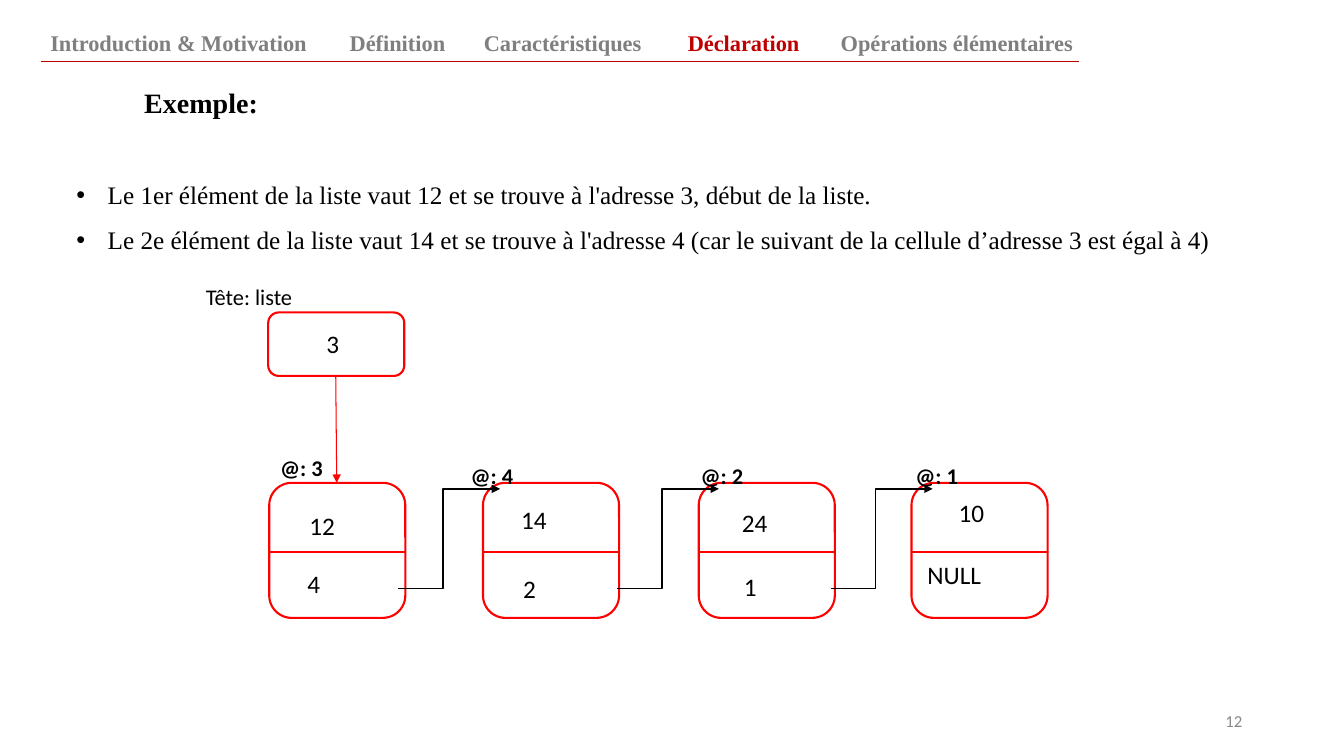
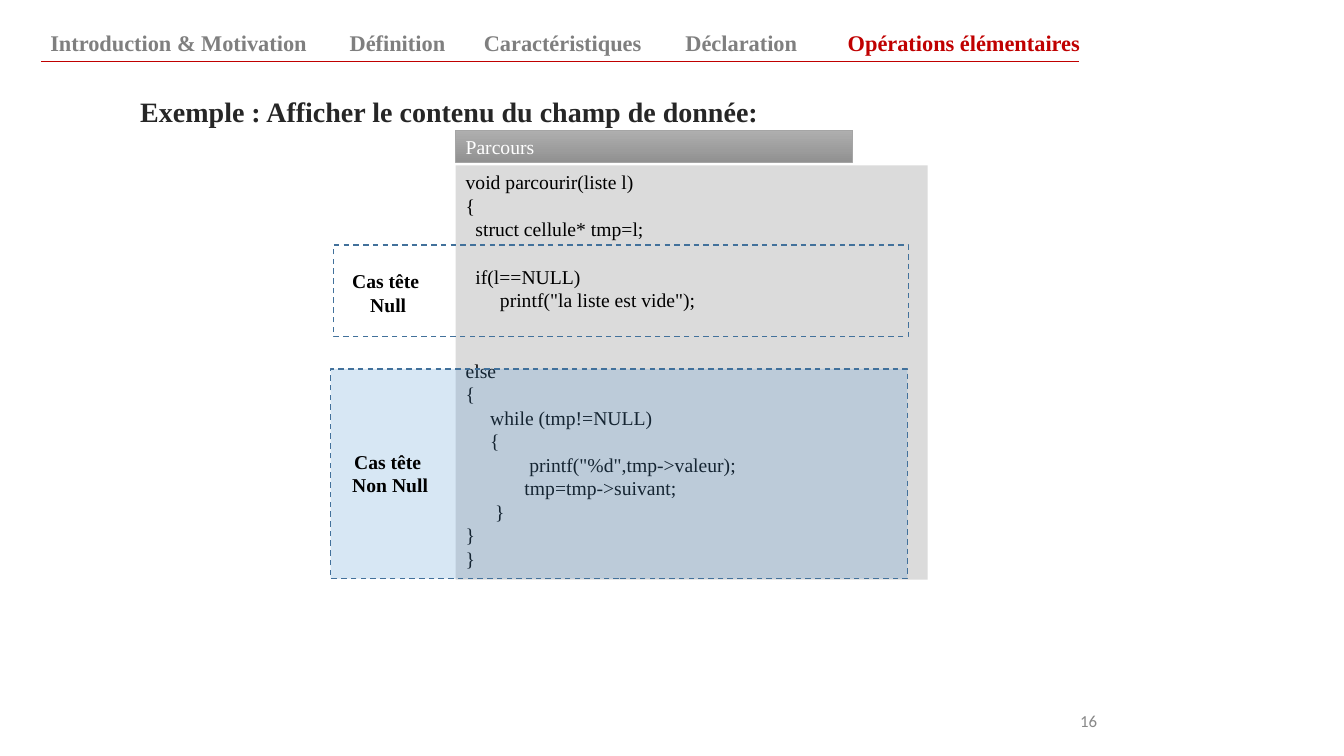
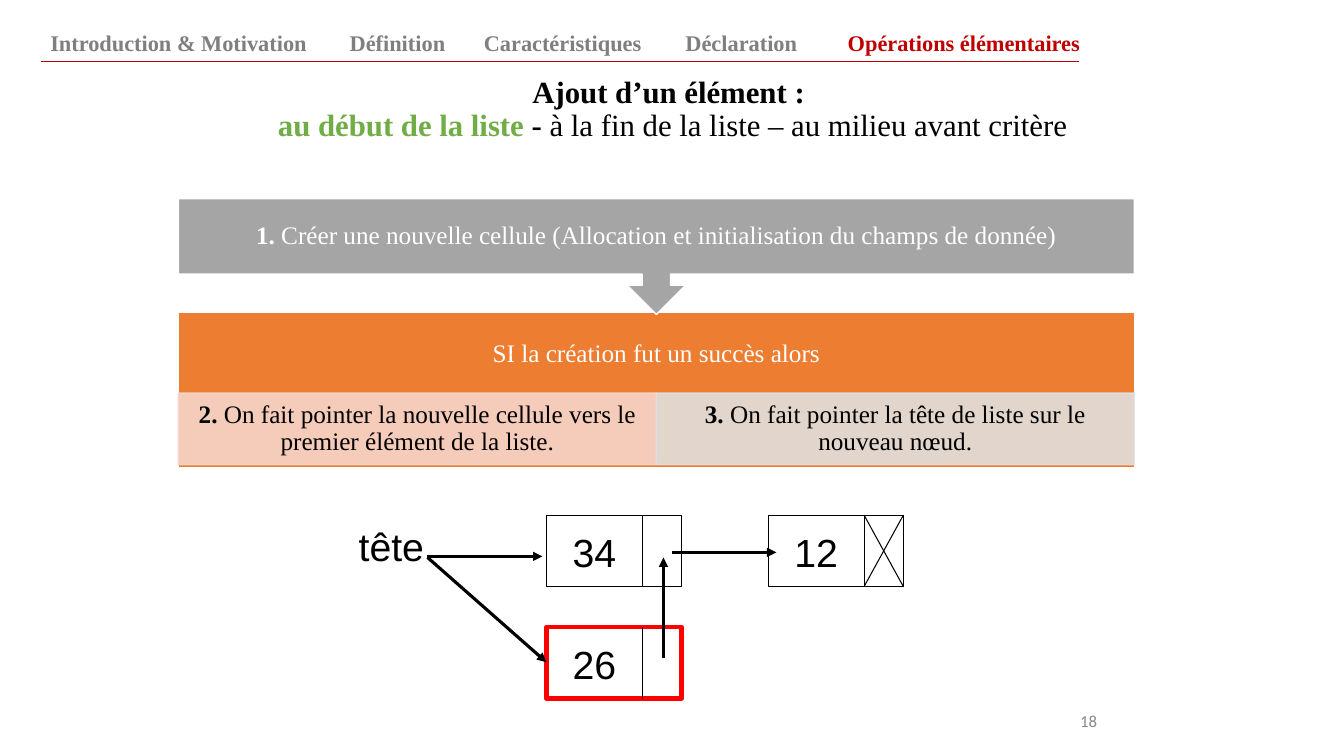
from dataclasses import dataclass, replace

from pptx import Presentation, util as u
from pptx.dml.color import RGBColor
from pptx.enum import dml, shapes, text
from pptx.oxml import ns, xmlchemy

LEFT, CENTER, RIGHT = text.PP_ALIGN.LEFT, text.PP_ALIGN.CENTER, text.PP_ALIGN.RIGHT
TOP, MIDDLE, BOTTOM = (text.MSO_ANCHOR.TOP, text.MSO_ANCHOR.MIDDLE,
                       text.MSO_ANCHOR.BOTTOM)
RECT = shapes.MSO_SHAPE.RECTANGLE
ROUNDED = shapes.MSO_SHAPE.ROUNDED_RECTANGLE


@dataclass(frozen=True)
class Style:
    font: str
    size: float
    color: str = "000000"
    bold: bool = False


class Theme:
    black, white, red, accent = "000000", "FFFFFF", "FF0000", "C00000"
    green, orange, gray = "70AD47", "ED7D31", "A5A5A5"
    code_fill, case_fill, case_line = "DBDBDB", "5B9BD5", "42719B"
    peach, pale = "F7D5CB", "E0E0E0"
    serif = "Times New Roman"
    nav = Style(serif, 16, "7F7F7F", True)
    title = Style(serif, 20, bold=True)
    body = Style(serif, 18)
    code = Style(serif, 14)
    address = Style("Calibri", 16, bold=True)
    value = Style("Calibri", 18)
    cell = Style("Arial", 28)
    number = Style("Calibri", 12, "888888")


NAV = [("Introduction & Motivation", 0.4, 2.98), ("Définition", 3.37, 1.24),
       ("Caractéristiques", 4.7, 1.91), ("Déclaration", 6.7, 1.35),
       ("Opérations élémentaires", 8.24, 2.64)]


def inches(*lengths):
    return [u.Inches(length) for length in lengths]


def child(parent, tag, **attributes):
    element = xmlchemy.OxmlElement(tag)
    for key, setting in attributes.items():
        element.set(key, str(setting))
    parent.append(element)
    return element


def add_run(paragraph, words, style):
    run = paragraph.add_run()
    run.text = words
    font = run.font
    font.name, font.size, font.bold = style.font, u.Pt(style.size), style.bold
    font.color.rgb = RGBColor.from_string(style.color)


def write(frame, paragraphs, align=LEFT, anchor=TOP, spacing=None, wrap=True,
          margins=(0.1, 0.05, 0.1, 0.05)):
    """Fill a frame; each paragraph is a list of (words, style) runs."""
    frame.word_wrap, frame.vertical_anchor = wrap, anchor
    frame.auto_size = text.MSO_AUTO_SIZE.NONE
    (frame.margin_left, frame.margin_top,
     frame.margin_right, frame.margin_bottom) = inches(*margins)
    for index, runs in enumerate(paragraphs):
        paragraph = frame.add_paragraph() if index else frame.paragraphs[0]
        paragraph.alignment = align
        if spacing:
            paragraph.line_spacing = spacing
        for words, style in runs:
            add_run(paragraph, words, style)


def add_text(slide, box, lines, style, **layout):
    frame = slide.shapes.add_textbox(*inches(*box)).text_frame
    write(frame, [[(line, style)] for line in lines], **layout)
    return frame


def add_label(slide, box, words, style, align=LEFT):
    add_text(slide, box, [words], style, align=align, wrap=False)


def set_alpha(fill, percent):
    color = fill._xPr.find(ns.qn("a:solidFill"))[0]
    child(color, "a:alpha", val=percent * 1000)


def paint(shape, fill=None, line=None, width=1.0, alpha=None):
    shape.shadow.inherit = False
    if fill:
        shape.fill.solid()
        shape.fill.fore_color.rgb = RGBColor.from_string(fill)
        if alpha:
            set_alpha(shape.fill, alpha)
    else:
        shape.fill.background()
    if line:
        shape.line.color.rgb = RGBColor.from_string(line)
        shape.line.width = u.Pt(width)
    else:
        shape.line.fill.background()


def add_box(slide, kind, box, **look):
    shape = slide.shapes.add_shape(kind, *inches(*box))
    paint(shape, **look)
    return shape


def add_line(slide, start, end, color=Theme.black, width=0.75, arrow=False,
             bend=None):
    """Draw a straight line, or an elbow turning at the share given by bend."""
    kind = shapes.MSO_CONNECTOR.ELBOW if bend else shapes.MSO_CONNECTOR.STRAIGHT
    line = slide.shapes.add_connector(kind, *inches(*start, *end))
    line.line.color.rgb = RGBColor.from_string(color)
    line.line.width = u.Pt(width)
    properties = line._element.spPr
    if arrow:
        child(properties.find(ns.qn("a:ln")), "a:tailEnd", type="triangle")
    if bend:
        guides = properties.find(ns.qn("a:prstGeom")).get_or_add_avLst()
        child(guides, "a:gd", name="adj1", fmla=f"val {round(bend * 100000)}")
    child(properties, "a:effectLst")


def add_slide(deck, section, number, number_right, title_box):
    """Add a slide with its section bar and number; return it and its title."""
    slide = deck.slides.add_slide(deck.slide_layouts[5])
    title = slide.shapes.title
    title.left, title.top, title.width, title.height = inches(*title_box)
    for name, left, width in NAV:
        active = name == section
        style = replace(Theme.nav, color=Theme.accent) if active else Theme.nav
        add_text(slide, (left, 0.19, width, 0.41), [name], style,
                 align=CENTER if active else LEFT, anchor=BOTTOM)
    add_line(slide, (0.41, 0.61), (10.7, 0.61), Theme.accent)
    add_text(slide, (number_right - 2.25, 6.95, 2.25, 0.4), [str(number)],
             Theme.number, align=RIGHT, anchor=MIDDLE)
    return slide, title.text_frame


def add_bullets(slide, box, lines):
    frame = add_text(slide, box, lines, Theme.body, spacing=1.5)
    for paragraph in frame.paragraphs:
        properties = paragraph._p.get_or_add_pPr()
        properties.set("marL", str(u.Inches(0.31)))
        properties.set("indent", str(-u.Inches(0.31)))
        child(properties, "a:buFont", typeface="Arial")
        child(properties, "a:buChar", char="•")


def add_node(slide, left, address, value, following):
    """Draw a list node; each text is (words, left, top)."""
    size, top, middle = 1.35, 4.79, 5.48
    add_box(slide, ROUNDED, (left, top, size, 1.34), line=Theme.red, width=1.5)
    add_line(slide, (left, middle), (left + size, middle), Theme.red, 1.5)
    words, x, y = address
    add_label(slide, (x, y, 1.3, 0.37), words, Theme.address, CENTER)
    for words, x, y in (value, following):
        width = {1: 0.33, 2: 0.46}.get(len(words), 0.74)
        add_label(slide, (x, y, width, 0.4), words, Theme.value)


def declaration_slide(deck):
    slide, title = add_slide(deck, "Déclaration", 12, 12.42,
                             (1.33, 0.52, 8.62, 1.04))
    write(title, [[("Exemple:", Theme.title)]], anchor=MIDDLE, spacing=0.9)
    add_bullets(slide, (0.66, 1.58, 12.08, 0.96), [
        "Le 1er élément de la liste vaut 12 et se trouve à l'adresse 3, "
        "début de la liste.",
        "Le 2e élément de la liste vaut 14 et se trouve à l'adresse 4 "
        "(car le suivant de la cellule d’adresse 3 est égal à 4)"])

    add_box(slide, ROUNDED, (2.66, 3.1, 1.35, 0.63), line=Theme.red, width=1.5)
    add_label(slide, (1.78, 2.76, 1.38, 0.37), "Tête: liste",
              replace(Theme.address, bold=False), CENTER)
    add_label(slide, (3.14, 3.21, 0.33, 0.4), "3", Theme.value)
    add_line(slide, (3.33, 3.73), (3.34, 4.79), Theme.red, arrow=True)

    nodes = [
        (2.67, ("@: 3", 2.34, 4.46), ("12", 2.97, 5.01), ("4", 2.95, 5.59)),
        (4.79, ("@: 4", 4.23, 4.54), ("14", 5.07, 4.95), ("2", 5.09, 5.64)),
        (6.93, ("@: 2", 6.51, 4.54), ("24", 7.26, 4.98), ("1", 7.28, 5.62)),
        (9.04, ("@: 1", 8.64, 4.54), ("10", 9.41, 4.88), ("NULL", 9.1, 5.5))]
    for node in nodes:
        add_node(slide, *node)
    for left in (3.95, 6.12, 8.24):
        add_line(slide, (left, 5.84), (left + 1.01, 4.85), width=1,
                 arrow=True, bend=0.44)


def add_code(shape, lines):
    """Write code lines given as (indent in spaces, blank lines before, code)."""
    frame = shape.text_frame
    write(frame, [[(code, Theme.code)] for _, _, code in lines])
    space, line_height = Theme.code.size / 4, Theme.code.size * 1.2
    for paragraph, (indent, gap, _) in zip(frame.paragraphs, lines):
        paragraph.space_before = u.Pt(gap * line_height)
        properties = paragraph._p.get_or_add_pPr()
        properties.set("marL", str(u.Pt(indent * space)))
        properties.set("indent", "0")


def add_case(slide, box, label_box, lines, **look):
    frame = add_box(slide, RECT, box, line=Theme.case_line, **look)
    frame.line.dash_style = dml.MSO_LINE.DASH
    add_text(slide, label_box, lines, replace(Theme.code, bold=True),
             align=CENTER, wrap=False)


def traversal_slide(deck):
    slide, title = add_slide(deck, "Opérations élémentaires", 16, 10.98,
                             (1.29, 0.72, 8.98, 0.55))
    write(title, [[("Exemple : Afficher le contenu du champ de donnée:",
                    replace(Theme.title, color="262626"))]], spacing=1.5)

    listing = add_box(slide, RECT, (4.52, 1.64, 4.68, 4.11), fill=Theme.code_fill)
    add_code(listing, [
        (0, 0, "void parcourir(liste l)"),
        (0, 0, "{"),
        (2, 0, "struct cellule* tmp=l;"),
        (2, 1, "if(l==NULL)"),
        (7, 0, 'printf("la liste est vide");'),
        (0, 2, "else"),
        (0, 0, "{"),
        (5, 0, "while (tmp!=NULL)"),
        (5, 0, "{"),
        (13, 0, 'printf("%d",tmp->valeur);'),
        (12, 0, "tmp=tmp->suivant;"),
        (6, 0, "}"),
        (0, 0, "}"),
        (0, 0, "}")])

    heading = add_box(slide, RECT, (4.52, 1.29, 3.94, 0.32), line=Theme.gray,
                      width=0.75)
    heading.fill.gradient()
    heading.fill.gradient_angle = 270
    for stop, color in zip(heading.fill.gradient_stops, ("AFAFAF", "919191")):
        stop.color.rgb = RGBColor.from_string(color)
    write(heading.text_frame,
          [[("Parcours", replace(Theme.code, color=Theme.white))]], anchor=MIDDLE)

    add_case(slide, (3.31, 2.43, 5.7, 0.91), (3.39, 2.62, 0.92, 0.57),
             ["Cas tête ", "Null"])
    add_case(slide, (3.28, 3.66, 5.72, 2.08), (3.39, 4.41, 0.96, 0.57),
             ["Cas tête ", "Non Null"], fill=Theme.case_fill, alpha=24)


def add_step(shape, number, words, color=Theme.black,
             margins=(0.14, 0.02, 0.14, 0.02)):
    style = replace(Theme.body, color=color)
    runs = [(number, replace(style, bold=True))] if number else []
    write(shape.text_frame, [runs + [(words, style)]], align=CENTER,
          anchor=MIDDLE, spacing=0.9, margins=margins)


def add_arrow_panel(slide, box, body_height, stem=0.14, head=0.29):
    """Draw a panel whose lower edge carries a centred down arrow."""
    left, top, width, height = box
    right, middle, bottom = left + width, left + width / 2, top + height
    base, neck = top + body_height, bottom - head
    outline = [(right, top), (right, base), (middle + stem, base),
               (middle + stem, neck), (middle + head, neck), (middle, bottom),
               (middle - head, neck), (middle - stem, neck),
               (middle - stem, base), (left, base)]
    builder = slide.shapes.build_freeform(*inches(left, top))
    builder.add_line_segments([inches(*point) for point in outline])
    panel = builder.convert_to_shape()
    paint(panel, fill=Theme.gray, line=Theme.white)
    return panel


def add_cell(slide, left, top, value, color=Theme.black, width=0.75):
    """Draw a list cell and return the left edge of its pointer field."""
    add_box(slide, RECT, (left, top, 1.34, 0.71), fill=Theme.white, line=color,
            width=width)
    divider = left + 0.95
    add_line(slide, (divider, top), (divider, top + 0.71))
    add_label(slide, (left + 0.16, top + 0.08, 0.71, 0.57), value, Theme.cell)
    return divider


def insertion_slide(deck):
    slide, title = add_slide(deck, "Opérations élémentaires", 18, 10.98,
                             (0.87, 0.68, 11.6, 0.83))
    style = replace(Theme.title, size=22)
    write(title, [[("Ajout d’un élément : ", style)]], align=CENTER,
          anchor=MIDDLE, spacing=0.9)
    heading = title.paragraphs[0]
    heading.add_line_break()
    add_run(heading, "au début de la liste ", replace(style, color=Theme.green))
    add_run(heading, "- ", style)
    add_run(heading, "à la fin de la liste – au milieu avant critère",
            replace(style, bold=False))

    left, width = 1.77, 9.48
    condition = add_box(slide, RECT, (left, 3.1, width, 1.54),
                        fill=Theme.orange, line=Theme.white)
    add_step(condition, "", "SI la création fut un succès alors", Theme.white,
             (0.14, 0.14, 0.14, 0.85))
    steps = [("2. ", "On fait pointer la nouvelle cellule vers le premier "
              "élément de la liste.", Theme.peach),
             ("3. ", "On fait pointer la tête de liste sur le nouveau nœud.",
              Theme.pale)]
    for index, (number, words, color) in enumerate(steps):
        half = add_box(slide, RECT, (left + index * width / 2, 3.9, width / 2, 0.71),
                       fill=color, line=color, alpha=89)
        set_alpha(half.line.fill, 89)
        add_step(half, number, words)
    creation = add_arrow_panel(slide, (left, 1.97, width, 1.15), 0.75)
    add_step(creation, "1. ", "Créer une nouvelle cellule (Allocation et "
             "initialisation du champs de donnée)", Theme.white,
             (0.14, 0.14, 0.14, 0.54))

    add_label(slide, (3.46, 5.13, 1.04, 0.57), "tête", Theme.cell)
    add_cell(slide, 5.42, 5.11, "34")
    add_cell(slide, 5.42, 6.22, "26", Theme.red, 3)
    pointer = add_cell(slide, 7.62, 5.11, "12")
    for start, end in ((5.11, 5.82), (5.82, 5.11)):
        add_line(slide, (pointer, start), (8.96, end))
    for start, end in (((6.58, 6.53), (6.58, 5.53)), ((6.67, 5.48), (7.7, 5.48)),
                       ((4.24, 5.52), (5.38, 5.52)), ((4.24, 5.53), (5.42, 6.57))):
        add_line(slide, start, end, width=2.25, arrow=True)


def main():
    deck = Presentation()
    deck.slide_width, deck.slide_height = inches(13.33, 7.5)
    declaration_slide(deck)
    traversal_slide(deck)
    insertion_slide(deck)
    deck.save("out.pptx")


if __name__ == "__main__":
    main()
